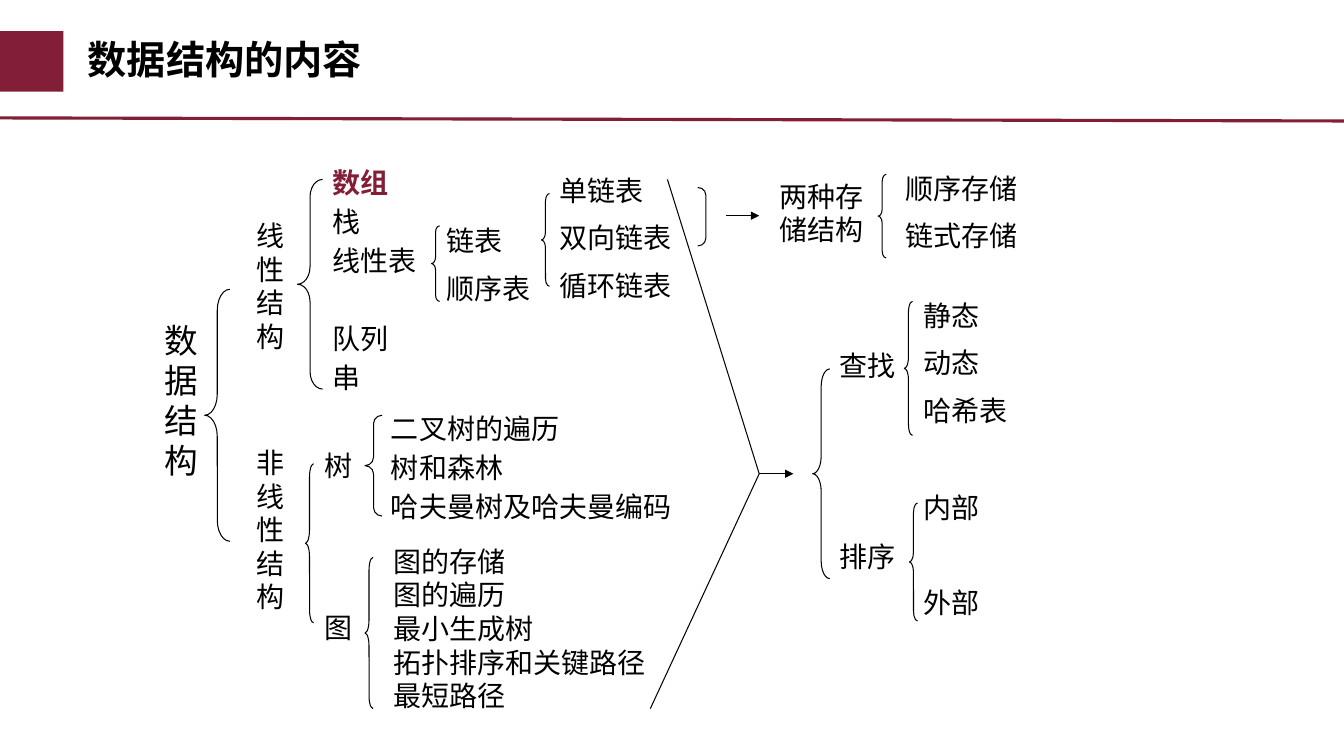
import pptx
import pptx.util
import pptx.dml.color
import pptx.enum.shapes
import pptx.enum.text
import pptx.oxml
import pptx.oxml.ns

PX = 9144
FONT = "Noto Sans CJK SC"
COLORS = {"wine": "821E36", "ink": "000000"}
TITLE = "数据结构的内容"
TITLE_BOX = (77, 32, 1093, 58)
ACCENT = (0, 31, 63, 60)
RULE = (0, 117, 1333, 120)

LABELS = [
    (153, 312, 58, 24, 0, ["数据结构"]),
    (245, 212, 67, 20, 0, ["线性结构"]),
    (245, 437, 50, 20, 0, ["非线性结构"]),
    (320, 159, 150, 20, 4, ["数组", "栈", "线性表"]),
    (320, 314, 150, 20, 4, ["队列", "串"]),
    (433, 217, 167, 20, 10, ["链表", "顺序表"]),
    (545, 167, 208, 20, 10, ["单链表", "双向链表", "循环链表"]),
    (763, 173, 117, 20, 0, ["两种存储结构"]),
    (888, 165, 150, 20, 10, ["顺序存储", "链式存储"]),
    (312, 440, 60, 20, 0, ["树"]),
    (312, 601, 60, 20, 0, ["图"]),
    (378, 403, 300, 20, 4, ["二叉树的遍历", "树和森林", "哈夫曼树及哈夫曼编码"]),
    (380, 535, 317, 20, 0, ["图的存储", "图的遍历", "最小生成树", "拓扑排序和关键路径", "最短路径"]),
    (823, 341, 90, 20, 0, ["查找"]),
    (823, 530, 90, 20, 0, ["排序"]),
    (906, 291, 142, 20, 10, ["静态", "动态", "哈希表"]),
    (906, 482, 108, 20, 0, ["内部"]),
    (906, 576, 108, 20, 0, ["外部"]),
]
HIGHLIGHT = "数组"
BRACES = [
    (203, 287, 25, 250), (295, 178, 25, 208), (303, 460, 8, 158),
    (362, 412, 17, 100), (362, 553, 8, 150), (428, 224, 8, 75),
    (537, 192, 8, 92), (871, 173, 8, 83), (806, 366, 17, 208),
    (897, 299, 8, 133), (902, 499, 8, 117),
]
BRACKET = (692, 186, 8, 58)
JOINT = (753, 470)
LINES = [
    ((720, 214), (753, 214), True),
    ((662, 178), JOINT, False),
    ((645, 703), JOINT, False),
    (JOINT, (787, 470), True),
]


def emu(lengths):
    return [n * PX for n in lengths]


def rgb(name):
    return pptx.dml.color.RGBColor.from_string(COLORS[name])


def add_run(p, text, size, color="ink", bold=False):
    r = p.add_run()
    r.text = text
    for key, value in {"name": FONT, "size": pptx.util.Pt(size), "bold": bold}.items():
        setattr(r.font, key, value)
    r.font.color.rgb = rgb(color)
    ea = pptx.oxml.parse_xml(f'<a:ea {pptx.oxml.ns.nsdecls("a")} typeface="{FONT}"/>')
    r.font._element.find(pptx.oxml.ns.qn("a:latin")).addnext(ea)


def add_label(s, x, y, w, size, gap, items):
    line = size * 1.2
    h = round((len(items) * (line + gap) - gap) / 0.72) + 10
    tf = s.shapes.add_textbox(*emu((x, y, w, h))).text_frame
    tf.word_wrap = True
    for i, item in enumerate(items):
        p = tf.paragraphs[0] if i == 0 else tf.add_paragraph()
        p.line_spacing = pptx.util.Pt(line)
        p.space_before = pptx.util.Pt(gap if i else 0)
        marked = item == HIGHLIGHT
        add_run(p, item, size, "wine" if marked else "ink", marked)


def add_outline(s, kind, box, adjust):
    sp = s.shapes.add_shape(kind, *emu(box))
    sp.shadow.inherit = False
    sp.fill.background()
    sp.line.color.rgb = rgb("ink")
    sp.line.width = pptx.util.Pt(0.75)
    sp.adjustments[0] = adjust


def add_line(s, start, end, color="ink", width=0.75, arrow=False):
    kind = pptx.enum.shapes.MSO_CONNECTOR.STRAIGHT
    cx = s.shapes.add_connector(kind, *emu(start + end))
    cx.line.color.rgb = rgb(color)
    cx.line.width = pptx.util.Pt(width)
    ns = pptx.oxml.ns.nsdecls("a")
    if arrow:
        cx.line._get_or_add_ln().append(pptx.oxml.parse_xml(f'<a:tailEnd {ns} type="triangle"/>'))
    cx._element.spPr.append(pptx.oxml.parse_xml(f"<a:effectLst {ns}/>"))


def main():
    shape = pptx.enum.shapes.MSO_SHAPE
    prs = pptx.Presentation()
    prs.slide_width, prs.slide_height = emu((1333, 750))
    s = prs.slides.add_slide(prs.slide_layouts[5])

    sp = s.shapes.add_shape(shape.RECTANGLE, *emu(ACCENT))
    sp.shadow.inherit = False
    sp.fill.solid()
    sp.fill.fore_color.rgb = rgb("wine")
    sp.line.fill.background()
    add_line(s, RULE[:2], RULE[2:], "wine", 2.25)

    title = s.shapes.title
    for key, value in zip(("left", "top", "width", "height"), emu(TITLE_BOX)):
        setattr(title, key, value)
    tf = title.text_frame
    tf.vertical_anchor = pptx.enum.text.MSO_ANCHOR.MIDDLE
    p = tf.paragraphs[0]
    p.alignment = pptx.enum.text.PP_ALIGN.LEFT
    p.line_spacing = 0.9
    add_run(p, TITLE, 28, bold=True)

    for label in LABELS:
        add_label(s, *label)
    for box in BRACES:
        add_outline(s, shape.LEFT_BRACE, box, box[3] / box[2] / 12)
    add_outline(s, shape.RIGHT_BRACKET, BRACKET, 0.92)
    for start, end, arrow in LINES:
        add_line(s, start, end, arrow=arrow)

    prs.save("out.pptx")


if __name__ == "__main__":
    main()
